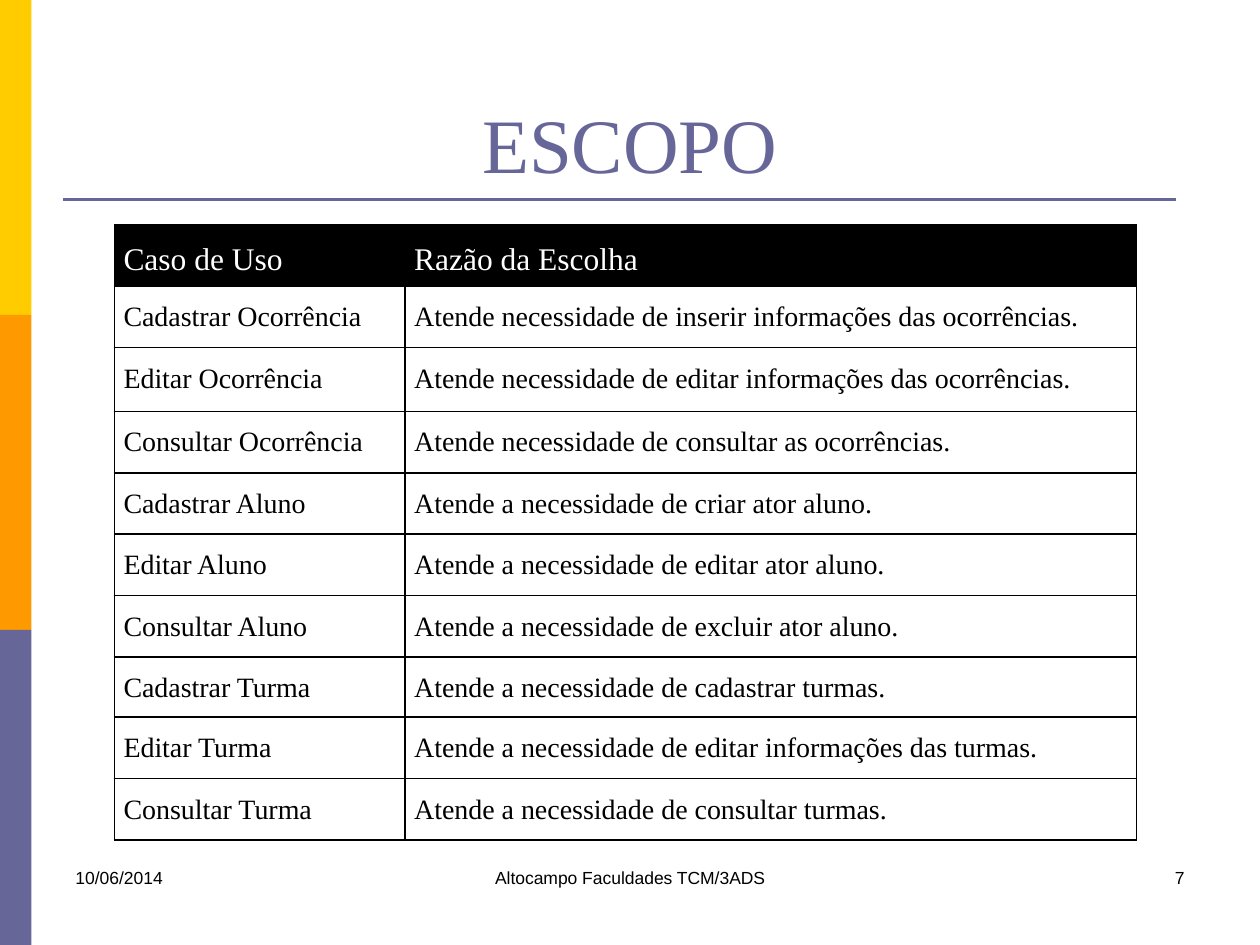
from lxml.etree import SubElement
from pptx import Presentation
from pptx.dml.color import RGBColor
from pptx.enum.shapes import MSO_CONNECTOR as Connector, MSO_SHAPE as Shape
from pptx.enum.text import MSO_ANCHOR as Anchor, PP_ALIGN as Align
from pptx.oxml import parse_xml
from pptx.oxml.ns import nsdecls, qn
from pptx.util import Pt

BLACK = RGBColor(0, 0, 0)
WHITE = RGBColor(255, 255, 255)
YELLOW = RGBColor(0xFF, 0xCC, 0x00)
ORANGE = RGBColor(0xFF, 0x99, 0x00)
VIOLET = RGBColor(0x66, 0x66, 0x99)
SERIF = "Times New Roman"

USE_CASES = [
    ("Caso de Uso", "Razão da Escolha"),
    ("Cadastrar Ocorrência", "Atende necessidade de inserir informações das ocorrências."),
    ("Editar Ocorrência", "Atende necessidade de editar informações das ocorrências."),
    ("Consultar Ocorrência", "Atende necessidade de consultar as ocorrências."),
    ("Cadastrar Aluno", "Atende a necessidade de criar ator aluno."),
    ("Editar Aluno", "Atende a necessidade de editar ator aluno."),
    ("Consultar Aluno", "Atende a necessidade de excluir ator aluno."),
    ("Cadastrar Turma", "Atende a necessidade de cadastrar turmas."),
    ("Editar Turma", "Atende a necessidade de editar informações das turmas."),
    ("Consultar Turma", "Atende a necessidade de consultar turmas."),
]
ROW_HEIGHTS = [35.1, 35.1, 36.5, 35.1, 35.1, 35.1, 35.1, 34.4, 35.1, 35.1]


def write(frame, text, size, font=SERIF, color=BLACK, align=Align.LEFT, spacing=None):
    frame.word_wrap = True
    para = frame.paragraphs[0]
    para.alignment = align
    para.line_spacing = spacing
    span = para.add_run()
    span.text = text
    span.font.size = Pt(size)
    span.font.name = font
    span.font.color.rgb = color


def add_borders(cell):
    properties = cell._tc.get_or_add_tcPr()
    for index, side in enumerate(("lnL", "lnR", "lnT", "lnB")):
        border = parse_xml(f'<a:{side} {nsdecls("a")} w="{Pt(1)}"><a:solidFill>'
                           f'<a:srgbClr val="{BLACK}"/></a:solidFill></a:{side}>')
        properties.insert(index, border)


deck = Presentation()
deck.slide_width, deck.slide_height = Pt(720), Pt(540)
page = deck.slides.add_slide(deck.slide_layouts[5])

# Side bands and title rule
for index, color in enumerate((YELLOW, ORANGE, VIOLET)):
    band = page.shapes.add_shape(Shape.RECTANGLE, 0, Pt(180 * index), Pt(18), Pt(180))
    band.shadow.inherit = False
    band.fill.solid()
    band.fill.fore_color.rgb = color
    band.line.fill.background()

rule = page.shapes.add_connector(Connector.STRAIGHT, Pt(36), Pt(114), Pt(672), Pt(114))
rule.line.color.rgb = VIOLET
rule.line.width = Pt(1.5)
SubElement(rule._element.spPr, qn("a:effectLst"))

# Title
title = page.shapes.title
title.left, title.top, title.width, title.height = Pt(36), Pt(21.6), Pt(648), Pt(90)
title.text_frame.vertical_anchor = Anchor.BOTTOM
write(title.text_frame, "ESCOPO", 44, color=VIOLET, align=Align.CENTER)

# Footer
for left, width, text, align in (
    (36, 168, "10/06/2014", Align.LEFT),
    (246, 228, "Altocampo Faculdades TCM/3ADS", Align.CENTER),
    (516, 168, "7", Align.RIGHT),
):
    box = page.shapes.add_textbox(Pt(left), Pt(492), Pt(width), Pt(36))
    write(box.text_frame, text, 10, font="Arial", align=align)

# Use case table
table = page.shapes.add_table(len(USE_CASES), 2, Pt(65.4), Pt(128.4),
                              Pt(584.2), Pt(sum(ROW_HEIGHTS))).table
table.horz_banding = False
table.columns[0].width, table.columns[1].width = Pt(166.1), Pt(418.1)
for row_index, (texts, height) in enumerate(zip(USE_CASES, ROW_HEIGHTS)):
    is_header = row_index == 0
    table.rows[row_index].height = Pt(height)
    for cell, text in zip(table.rows[row_index].cells, texts):
        cell.margin_left = cell.margin_right = Pt(5.2)
        cell.margin_top = cell.margin_bottom = 0
        if is_header:
            cell.fill.solid()
            cell.fill.fore_color.rgb = BLACK
        else:
            cell.fill.background()
        add_borders(cell)
        write(cell.text_frame, text, 18 if is_header else 16,
              color=WHITE if is_header else BLACK, align=Align.JUSTIFY, spacing=1.5)
        cell.text_frame.paragraphs[0].runs[0].font.bold = False

deck.save("out.pptx")
